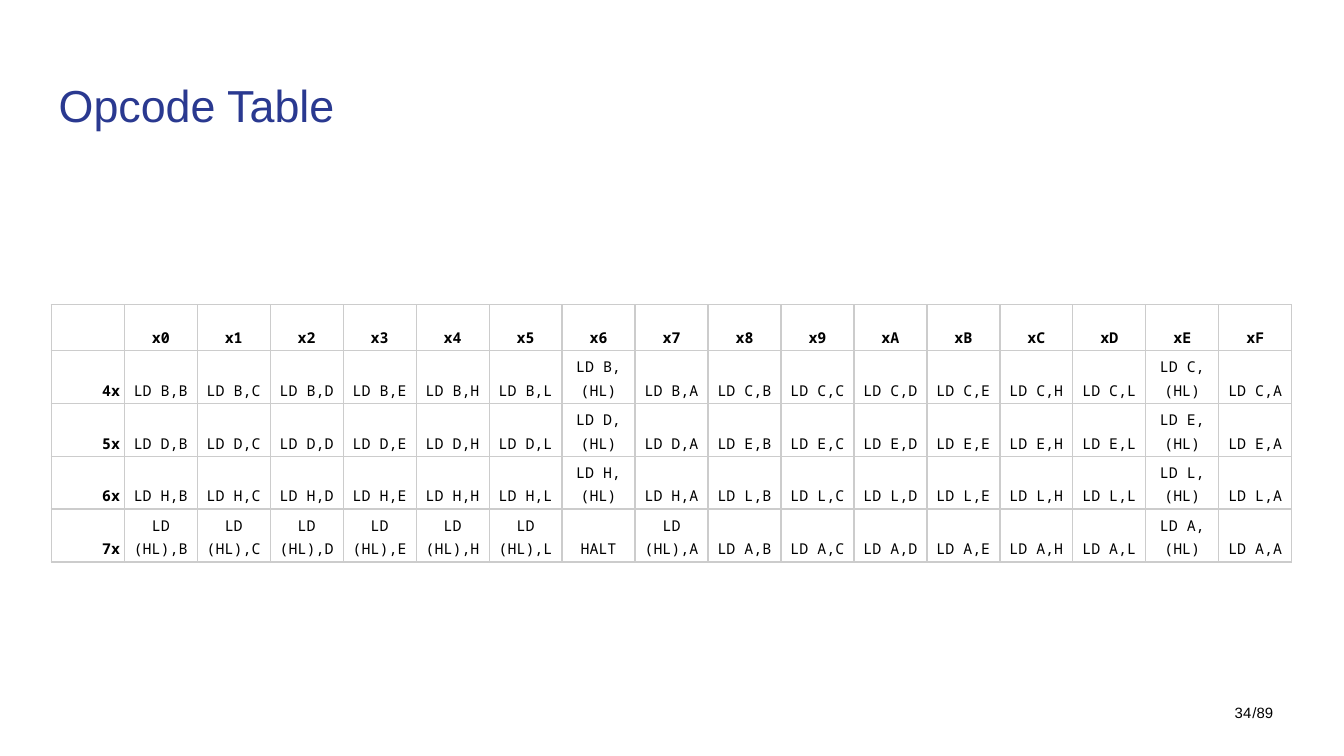
import dataclasses

import pptx
import pptx.dml.color
import pptx.enum.text
import pptx.oxml
import pptx.oxml.ns
import pptx.util

Cm = pptx.util.Cm
Pt = pptx.util.Pt
Align = pptx.enum.text.PP_ALIGN
Anchor = pptx.enum.text.MSO_ANCHOR


@dataclasses.dataclass(frozen=True)
class Theme:
    title_color: str = "2A3990"
    text_color: str = "000000"
    grid_color: str = "CCCCCC"
    text_font: str = "Arial"
    code_font: str = "Noto Sans Mono"
    title_size: float = 24
    small_size: float = 8
    grid_width: float = 0.75
    code_spacing: float = 1.15


class SlideBuilder:
    def __init__(self, deck, theme):
        self.theme = theme
        self.page = deck.slides.add_slide(deck.slide_layouts[6])

    def add_run(self, para, text, font, size, color, bold=False):
        span = para.add_run()
        span.text = text
        span.font.name = font
        span.font.size = Pt(size)
        span.font.bold = bold
        span.font.color.rgb = pptx.dml.color.RGBColor.from_string(color)

    def add_text(self, text, left, top, width, height, size, color, align=Align.LEFT):
        box = self.page.shapes.add_textbox(Cm(left), Cm(top), Cm(width), Cm(height))
        frame = box.text_frame
        frame.word_wrap = True
        frame.vertical_anchor = Anchor.MIDDLE
        frame.margin_left = frame.margin_right = Cm(0.25)
        frame.margin_top = frame.margin_bottom = Cm(0.25)
        para = frame.paragraphs[0]
        para.alignment = align
        self.add_run(para, text, self.theme.text_font, size, color)

    def add_borders(self, cell):
        properties = cell._tc.get_or_add_tcPr()
        namespace = pptx.oxml.ns.nsdecls("a")
        for side in ("lnL", "lnR", "lnT", "lnB"):
            properties.append(pptx.oxml.parse_xml(
                f'<a:{side} {namespace} w="{Pt(self.theme.grid_width)}"><a:solidFill>'
                f'<a:srgbClr val="{self.theme.grid_color}"/></a:solidFill></a:{side}>'
            ))

    def fill_cell(self, cell, text, align, bold):
        cell.margin_left = cell.margin_right = Cm(0.08)
        cell.margin_top = cell.margin_bottom = Cm(0.05)
        cell.vertical_anchor = Anchor.BOTTOM
        self.add_borders(cell)
        cell.fill.background()
        if text:
            para = cell.text_frame.paragraphs[0]
            para.alignment = align
            para.line_spacing = self.theme.code_spacing
            self.add_run(para, text, self.theme.code_font, self.theme.small_size,
                         self.theme.text_color, bold)

    def add_grid(self, rows, left, top, column_width, header_height, row_height):
        heights = [header_height] + [row_height] * (len(rows) - 1)
        table = self.page.shapes.add_table(
            len(rows), len(rows[0]), Cm(left), Cm(top),
            Cm(column_width * len(rows[0])), Cm(sum(heights))
        ).table
        table.first_row = table.horz_banding = False
        for column in table.columns:
            column.width = Cm(column_width)
        for row_index, (texts, height) in enumerate(zip(rows, heights)):
            table.rows[row_index].height = Cm(height)
            for column_index, text in enumerate(texts):
                align = Align.CENTER if column_index else Align.RIGHT
                bold = row_index == 0 or column_index == 0
                self.fill_cell(table.cell(row_index, column_index), text, align, bold)


def load_instruction(target, source):
    return "HALT" if target == source == "(HL)" else f"LD {target},{source}"


def opcode_rows():
    registers = ["B", "C", "D", "E", "H", "L", "(HL)", "A"]
    rows = [[""] + [f"x{digit:X}" for digit in range(16)]]
    for index in range(4):
        targets = registers[2 * index:2 * index + 2]
        rows.append([f"{index + 4}x"] + [
            load_instruction(target, source) for target in targets for source in registers
        ])
    return rows


def main():
    theme = Theme()
    deck = pptx.Presentation()
    deck.slide_width = Cm(25.4)
    deck.slide_height = Cm(14.29)
    slide = SlideBuilder(deck, theme)
    slide.add_text("/89", 23.42, 12.93, 1.35, 1.09, theme.small_size, theme.text_color)
    slide.add_text("Opcode Table", 0.86, 1.14, 23.67, 1.68, theme.title_size, theme.title_color)
    slide.add_grid(opcode_rows(), left=0.97, top=5.76, column_width=1.38,
                   header_height=0.83, row_height=1)
    slide.add_text("34", 22.68, 12.93, 1.22, 1.09, theme.small_size, theme.text_color, Align.RIGHT)
    deck.save("out.pptx")


if __name__ == "__main__":
    main()
